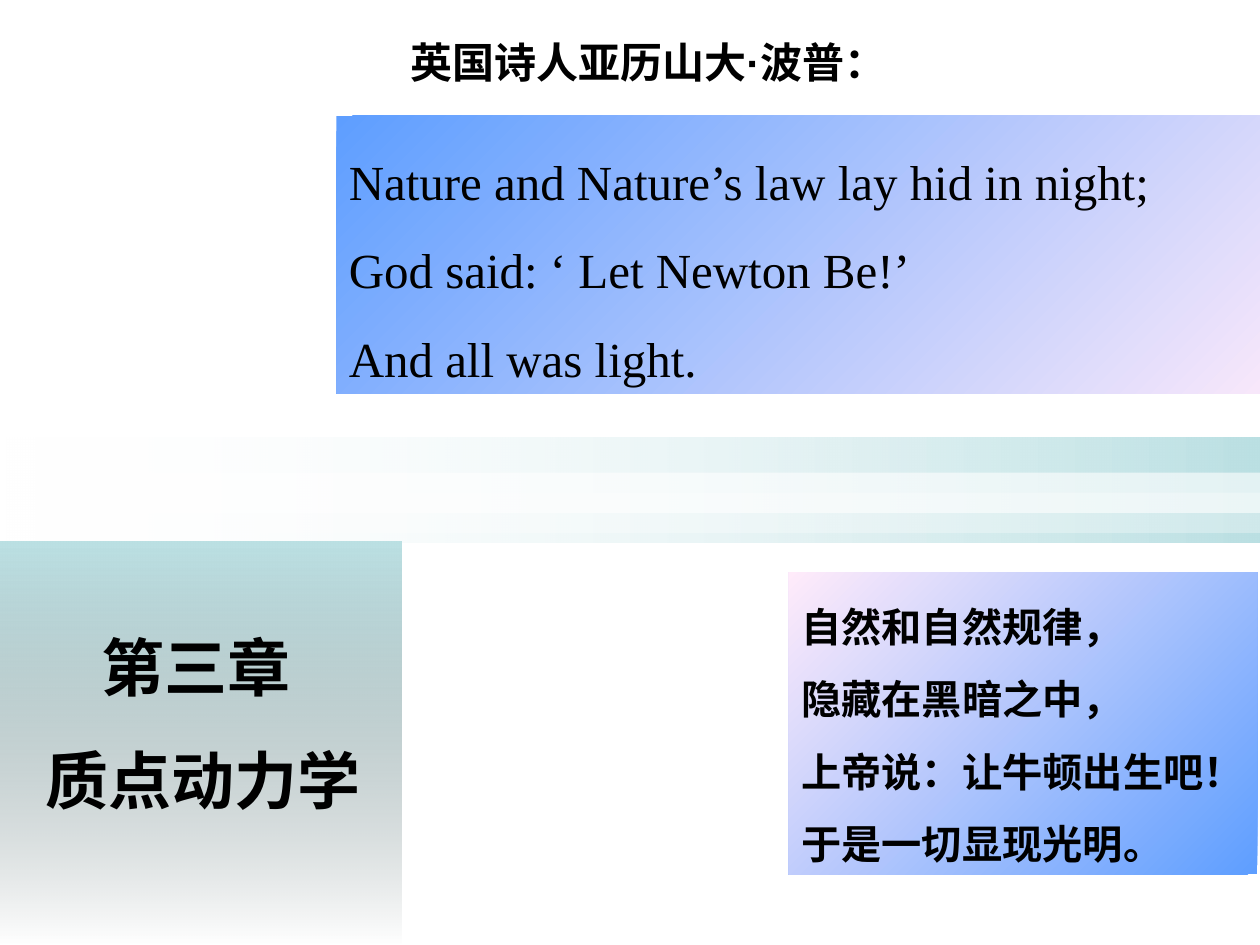
"""Build the chapter-opening slide with a couplet in two languages."""
from dataclasses import dataclass
from typing import Optional

from lxml import etree
from pptx import Presentation, util as u
from pptx.dml.color import RGBColor
from pptx.enum import shapes, text
from pptx.oxml.ns import qn

WHITE = RGBColor(0xFF, 0xFF, 0xFF)
BLACK = RGBColor(0x00, 0x00, 0x00)
TEAL = RGBColor(0xBB, 0xE0, 0xE3)
SLATE = RGBColor(0x57, 0x68, 0x69)
BLUE = RGBColor(0x5E, 0x9E, 0xFF)
PINK = RGBColor(0xFF, 0xEB, 0xFA)


@dataclass(frozen=True)
class Stop:
    color: RGBColor
    opacity: int = 100


@dataclass(frozen=True)
class Box:
    left: float
    top: float
    width: float
    height: float


@dataclass(frozen=True)
class Band:
    box: Box
    stops: tuple[Stop, ...]
    clockwise: int = 0


@dataclass(frozen=True)
class Passage:
    box: Box
    paragraphs: tuple[tuple[str, ...], ...]
    size: int
    font: str
    bold: bool = True
    spacing: float = 1.5
    centered: bool = False
    clockwise: Optional[int] = None


BANDS = (
    Band(Box(0, 3.47, 10, 0.84), (Stop(WHITE, 0), Stop(TEAL))),
    Band(Box(0, 3.75, 10, 0.32), (Stop(WHITE, 60),)),
    Band(Box(0, 3.91, 10, 0.32), (Stop(WHITE, 31),)),
    Band(Box(0, 4.3, 3.19, 3.2), (Stop(TEAL), Stop(SLATE, 0)), 90),
)

PASSAGES = (
    Passage(Box(0.16, 4.72, 2.91, 1.73), (("第三章 ", "质点动力学"),),
            36, "Cambria", centered=True),
    Passage(Box(2.67, 0.92, 7.83, 2.2),
            (("Nature and Nature’s law lay hid in night;",),
             ("God said: ‘ Let Newton Be!’",),
             ("And all was light.",)),
            28, "Times New Roman", bold=False, clockwise=45),
    Passage(Box(6.26, 4.54, 3.72, 2.4),
            (("自然和自然规律，",), ("隐藏在黑暗之中，",),
             ("上帝说：让牛顿出生吧！",), ("于是一切显现光明。",)),
            23, "Arial", clockwise=225),
    Passage(Box(3.16, 0.24, 4.14, 0.5), (("英国诗人亚历山大·波普：",),),
            24, "Arial", spacing=1.0),
)


def place(box: Box) -> tuple[u.Length, ...]:
    """Return the box as lengths."""
    return tuple(u.Inches(n) for n in (box.left, box.top, box.width, box.height))


def paint(shape, stops: tuple[Stop, ...], clockwise: int) -> None:
    """Fill a shape with one colour or a linear gradient."""
    fill = shape.fill
    if len(stops) == 1:
        fill.solid()
        fill.fore_color.rgb = stops[0].color
    else:
        fill.gradient()
        fill.gradient_angle = (360 - clockwise) % 360
        for target, stop in zip(fill.gradient_stops, stops):
            target.color.rgb = stop.color
    colors = shape._element.spPr.iter(qn("a:srgbClr"))
    for color, stop in zip(list(colors), stops):
        if stop.opacity < 100:
            etree.SubElement(color, qn("a:alpha"), val=str(stop.opacity * 1000))


def draw_band(slide, band: Band) -> None:
    """Draw one decorative rectangle."""
    strip = slide.shapes.add_shape(shapes.MSO_SHAPE.RECTANGLE, *place(band.box))
    strip.shadow.inherit = False
    strip.line.fill.background()
    paint(strip, band.stops, band.clockwise)


def draw_passage(slide, passage: Passage) -> None:
    """Draw one block of text, on a gradient panel if it has an angle."""
    panel = slide.shapes.add_textbox(*place(passage.box))
    if passage.clockwise is not None:
        paint(panel, (Stop(BLUE), Stop(PINK)), passage.clockwise)
    frame = panel.text_frame
    frame.word_wrap = passage.centered
    if passage.centered:
        frame.vertical_anchor = text.MSO_ANCHOR.MIDDLE
    else:
        frame.auto_size = text.MSO_AUTO_SIZE.SHAPE_TO_FIT_TEXT
    for index, lines in enumerate(passage.paragraphs):
        paragraph = frame.add_paragraph() if index else frame.paragraphs[0]
        paragraph.line_spacing = passage.spacing
        paragraph.alignment = (text.PP_ALIGN.CENTER if passage.centered
                               else text.PP_ALIGN.LEFT)
        for number, line in enumerate(lines):
            if number:
                paragraph.add_line_break()
            run = paragraph.add_run()
            run.text = line
            run.font.size = u.Pt(passage.size)
            run.font.name = passage.font
            run.font.bold = passage.bold
            run.font.color.rgb = BLACK


def main() -> None:
    """Build and save the slide."""
    deck = Presentation()
    deck.slide_width, deck.slide_height = u.Inches(10), u.Inches(7.5)
    slide = deck.slides.add_slide(deck.slide_layouts[6])
    for band in BANDS:
        draw_band(slide, band)
    for passage in PASSAGES:
        draw_passage(slide, passage)
    deck.save("out.pptx")


if __name__ == "__main__":
    main()
